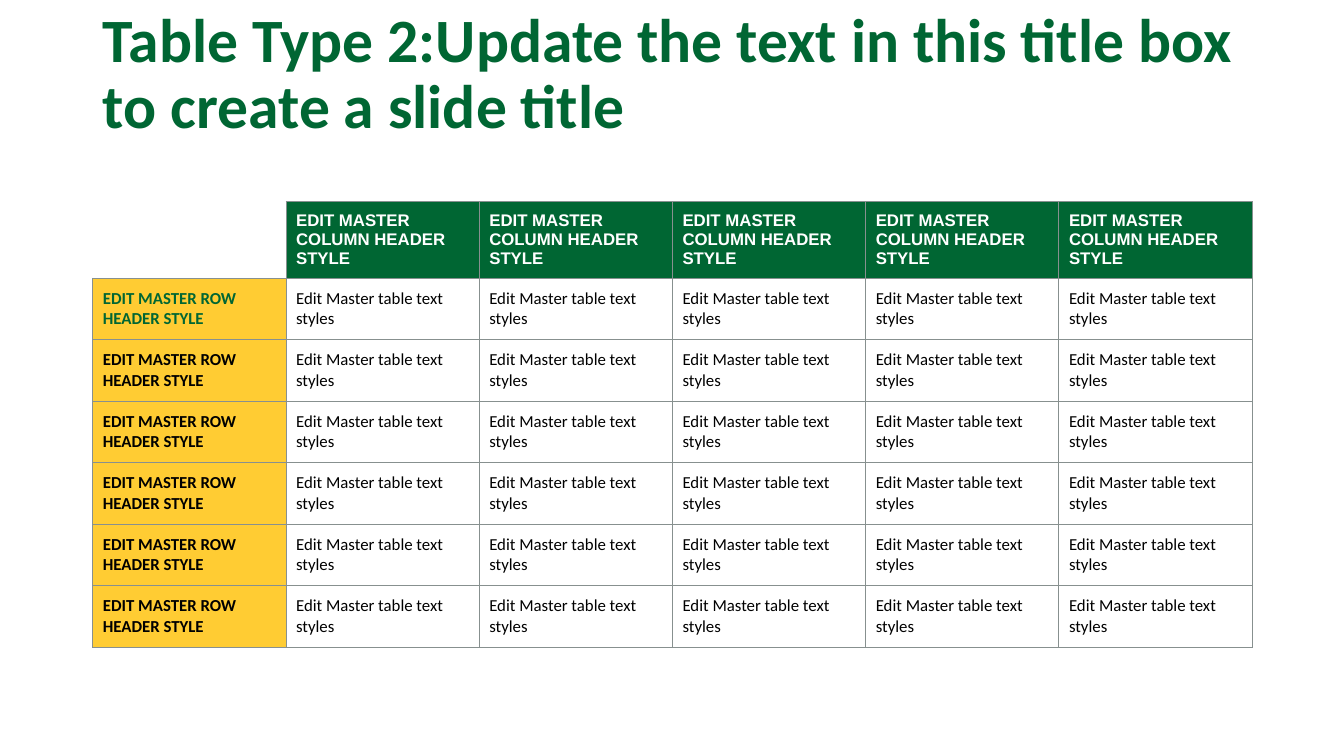
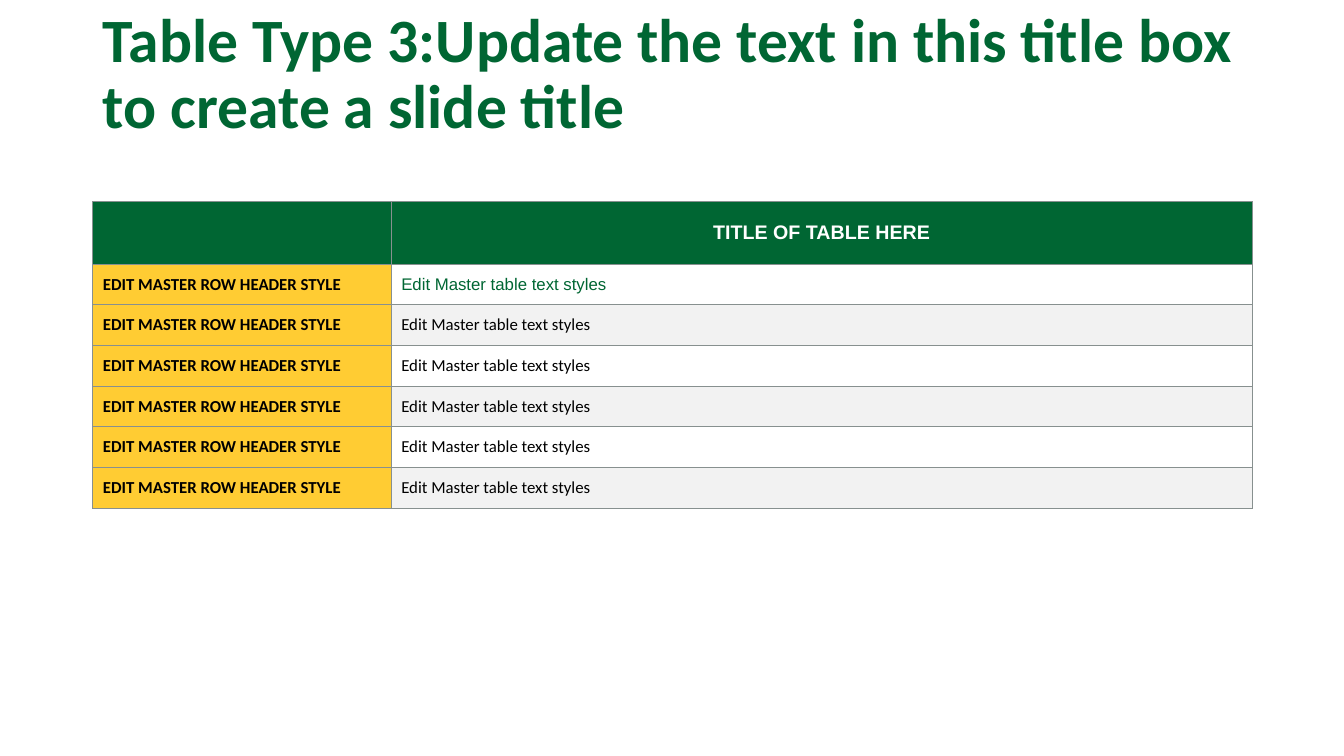
from lxml import etree
from pptx import Presentation
from pptx.dml.color import RGBColor
from pptx.enum import text
from pptx.oxml import ns
from pptx.util import Inches, Pt

GREEN = RGBColor(0x00, 0x66, 0x33)
GOLD = RGBColor(0xFF, 0xCC, 0x33)
WHITE = RGBColor(0xFF, 0xFF, 0xFF)
BLACK = RGBColor(0x00, 0x00, 0x00)
PALE_GREY = RGBColor(0xF2, 0xF2, 0xF2)
BORDER_GREY = RGBColor(0x87, 0x90, 0x8F)

LEFT, WIDTH = 0.92, 11.5
TABLE_TOP = 2
BODY_ROWS = 6
ROW_HEADER = "EDIT MASTER ROW HEADER STYLE"
BODY_TEXT = "Edit Master table text styles"
TITLE_TEXT = "Update the text in this title box to create a slide title"


def style_font(font, size, name, color, bold):
    """Apply one text style to a font."""
    font.size = Pt(size)
    font.name = name
    font.bold = bold
    font.color.rgb = color


def add_titled_slide(presentation, title_text):
    """Add a slide with the shared title style."""
    slide = presentation.slides.add_slide(presentation.slide_layouts[5])
    title = slide.shapes.title
    title.left, title.top = Inches(LEFT), Inches(0)
    title.width, title.height = Inches(WIDTH), Inches(1.5)
    frame = title.text_frame
    frame.text = title_text
    frame.word_wrap = True
    frame.auto_size = text.MSO_AUTO_SIZE.NONE
    frame.vertical_anchor = text.MSO_ANCHOR.MIDDLE
    paragraph = frame.paragraphs[0]
    paragraph.alignment = text.PP_ALIGN.LEFT
    paragraph.line_spacing = 0.9
    style_font(paragraph.runs[0].font, 44, "Calibri", GREEN, True)
    return slide


def add_table(slide, column_widths, header_height, row_height):
    """Add an unstyled table of one header row and the body rows."""
    height = header_height + BODY_ROWS * row_height
    frame = slide.shapes.add_table(BODY_ROWS + 1, len(column_widths), Inches(LEFT),
                                   Inches(TABLE_TOP), Inches(WIDTH), Inches(height))
    table = frame.table
    table.horz_banding = False
    for column, width in zip(table.columns, column_widths):
        column.width = Inches(width)
    for index, row in enumerate(table.rows):
        row.height = Inches(row_height if index else header_height)
    return table


def set_borders(cell, visible):
    """Draw the named sides of a cell and hide the others."""
    properties = cell._tc.get_or_add_tcPr()
    for side in "LRTB":
        line = etree.SubElement(properties, ns.qn(f"a:ln{side}"), w=str(Pt(0.75)))
        if side in visible:
            fill = etree.SubElement(line, ns.qn("a:solidFill"))
            etree.SubElement(fill, ns.qn("a:srgbClr"), val=str(BORDER_GREY))
        else:
            etree.SubElement(line, ns.qn("a:noFill"))


def fill_cell(cell, fill, content="", color=BLACK, font="Calibri", size=12,
              bold=False, margin=0.1, centred=False, borders="LRTB"):
    """Give a cell its borders, fill and text."""
    set_borders(cell, borders)
    cell.fill.solid()
    cell.fill.fore_color.rgb = fill
    cell.vertical_anchor = text.MSO_ANCHOR.MIDDLE
    cell.margin_left = cell.margin_right = Inches(margin)
    cell.margin_top = cell.margin_bottom = Inches(margin)
    if content:
        cell.text_frame.text = content
        paragraph = cell.text_frame.paragraphs[0]
        if centred:
            paragraph.alignment = text.PP_ALIGN.CENTER
        style_font(paragraph.runs[0].font, size, font, color, bold)


def build_grid_slide(presentation):
    """Build the slide with column headers and row headers."""
    slide = add_titled_slide(presentation, "Table Type 2:" + TITLE_TEXT)
    columns = 6
    table = add_table(slide, [WIDTH / columns] * columns, 0.76, 0.61)
    fill_cell(table.cell(0, 0), WHITE, borders="RB")
    for column in range(1, columns):
        fill_cell(table.cell(0, column), GREEN, "EDIT MASTER COLUMN HEADER STYLE",
                  WHITE, "Arial", bold=True)
    for row in range(1, BODY_ROWS + 1):
        fill_cell(table.cell(row, 0), GOLD, ROW_HEADER,
                  GREEN if row == 1 else BLACK, bold=True)
        for column in range(1, columns):
            fill_cell(table.cell(row, column), WHITE, BODY_TEXT)


def build_list_slide(presentation):
    """Build the slide with a titled table of banded rows."""
    slide = add_titled_slide(presentation, "Table Type 3:" + TITLE_TEXT)
    table = add_table(slide, [2.96, 8.54], 0.61, 0.4)
    fill_cell(table.cell(0, 0), GREEN)
    fill_cell(table.cell(0, 1), GREEN, "TITLE OF TABLE HERE", WHITE, "Arial", 14,
              bold=True, margin=0.2, centred=True)
    for row in range(1, BODY_ROWS + 1):
        fill_cell(table.cell(row, 0), GOLD, ROW_HEADER, bold=True)
        color, font = (GREEN, "Arial") if row == 1 else (BLACK, "Calibri")
        fill_cell(table.cell(row, 1), WHITE if row % 2 else PALE_GREY,
                  BODY_TEXT, color, font)


def main():
    """Build and save the presentation."""
    presentation = Presentation()
    presentation.slide_width = Inches(13.33)
    presentation.slide_height = Inches(7.5)
    build_grid_slide(presentation)
    build_list_slide(presentation)
    presentation.save("out.pptx")


if __name__ == "__main__":
    main()
